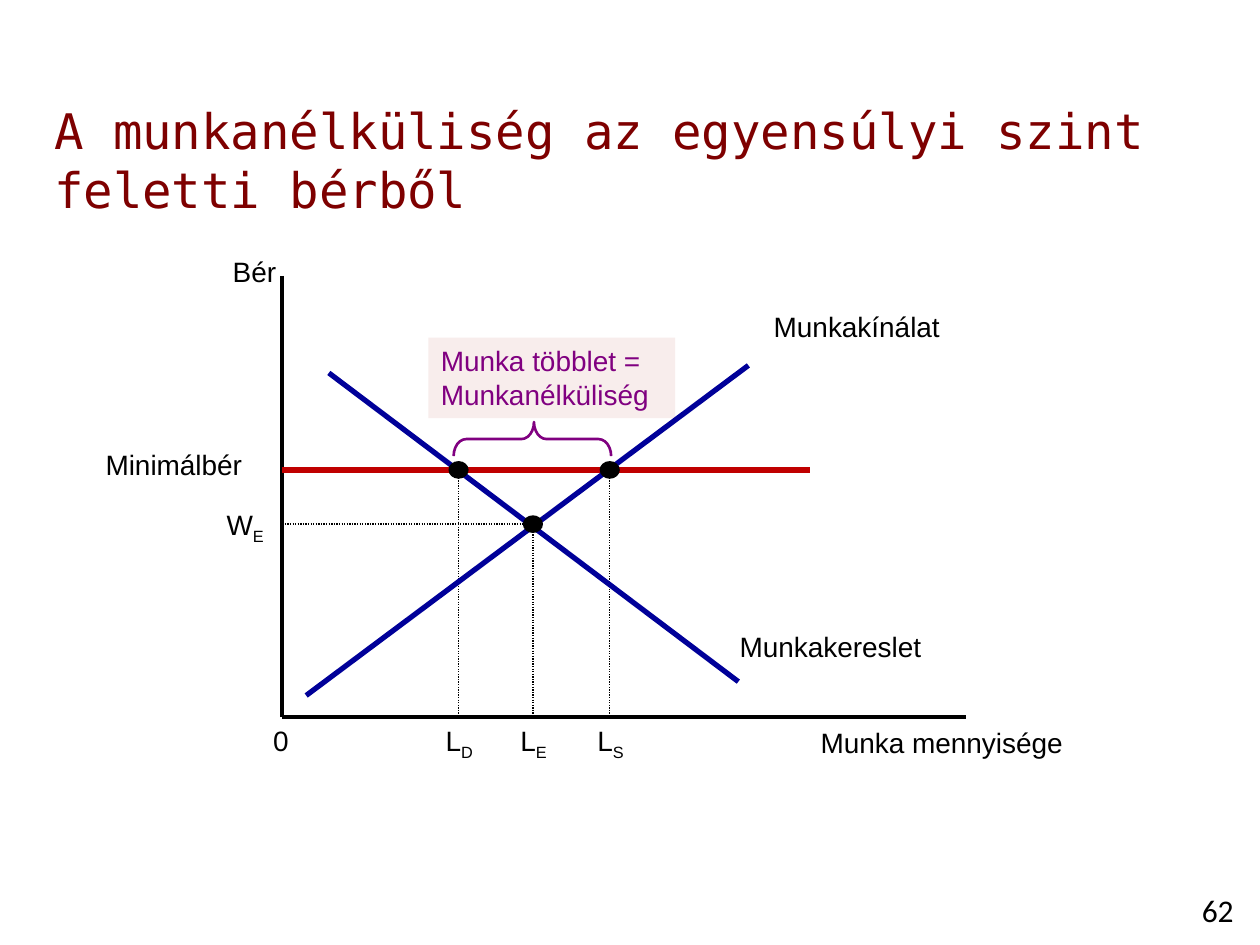
from math import cos, pi, sin

from lxml.etree import SubElement
from pptx import Presentation
from pptx.dml.color import RGBColor
from pptx.enum.dml import MSO_LINE
from pptx.enum.shapes import MSO_CONNECTOR, MSO_SHAPE
from pptx.enum.text import MSO_ANCHOR, MSO_AUTO_SIZE, PP_ALIGN
from pptx.oxml.ns import qn
from pptx.util import Inches, Pt

BLACK, WHITE, RED, BLUE = "000000", "FFFFFF", "C00000", "000099"
PURPLE, PINK, MAROON = "800080", "F8EDEC", "7E0000"
LEFT, MID, RIGHT = PP_ALIGN.LEFT, PP_ALIGN.CENTER, PP_ALIGN.RIGHT

# Key points of the diagram
AXIS_X, AXIS_Y = 2.24, 5.69
MIN_Y, EVEN_Y = 3.73, 4.16
DEMAND_X, EVEN_X, SUPPLY_X = 3.64, 4.23, 4.84


def color(code):
    return RGBColor.from_string(code)


def fill_text(frame, text, sub="", size=16, font="Arial", ink=BLACK,
              align=MID, wrap=False, grow=True):
    frame.word_wrap = wrap
    frame.vertical_anchor = MSO_ANCHOR.TOP
    frame.auto_size = (MSO_AUTO_SIZE.SHAPE_TO_FIT_TEXT if grow
                       else MSO_AUTO_SIZE.NONE)
    par = frame.paragraphs[0]
    par.alignment = align
    for part in filter(None, (text, sub)):
        run = par.add_run()
        run.text = part
        run.font.size = Pt(size)
        run.font.name = font
        run.font.color.rgb = color(ink)
    if sub:
        run.font._element.set("baseline", "-25000")


def add_text(slide, box, text, **style):
    label = slide.shapes.add_textbox(*map(Inches, box))
    fill_text(label.text_frame, text, **style)


def add_line(slide, start, end, ink=BLACK, width=2.25, dash=None):
    line = slide.shapes.add_connector(
        MSO_CONNECTOR.STRAIGHT, *map(Inches, (*start, *end)))
    line.line.color.rgb = color(ink)
    line.line.width = Pt(width)
    if dash:
        line.line.dash_style = dash
    SubElement(line._element.spPr, qn("a:effectLst"))


def add_guide(slide, start, end):
    add_line(slide, start, end, width=0.75, dash=MSO_LINE.ROUND_DOT)


def paint(shape, fill=None, ink=None, width=1):
    shape.shadow.inherit = False
    if fill:
        shape.fill.solid()
        shape.fill.fore_color.rgb = color(fill)
    else:
        shape.fill.background()
    if ink:
        shape.line.color.rgb = color(ink)
        shape.line.width = Pt(width)
    else:
        shape.line.fill.background()


def add_shape(slide, kind, box, **style):
    shape = slide.shapes.add_shape(kind, *map(Inches, box))
    paint(shape, **style)
    return shape


def add_dot(slide, x, y):
    turns = [2 * pi * i / 16 for i in range(16)]
    rim = [(Inches(x + 0.08 * sin(t)), Inches(y + 0.07 * cos(t)))
           for t in turns]
    pen = slide.shapes.build_freeform(*rim[0])
    pen.add_line_segments(rim[1:], close=True)
    paint(pen.convert_to_shape(), fill=BLACK)


def add_title(slide, text):
    title = slide.shapes.title
    title.left, title.top, title.width, title.height = map(
        Inches, (0.33, 0.75, 9.67, 0.58))
    fill_text(title.text_frame, text, size=28, font="DejaVu Sans Mono",
              ink=MAROON, align=LEFT, wrap=True, grow=False)


def add_axes(slide):
    add_shape(slide, MSO_SHAPE.RECTANGLE, (2.25, 2.27, 5.42, 3.41),
              fill=WHITE, ink=WHITE, width=2)
    add_line(slide, (AXIS_X, 2.19), (AXIS_X, AXIS_Y))
    add_text(slide, (1.74, 1.97, 0.55, 0.37), "Bér", align=RIGHT)
    add_line(slide, (AXIS_X, AXIS_Y), (7.67, AXIS_Y))
    add_text(slide, (6.4, 5.71, 2.21, 0.37), "Munka mennyisége ")
    add_text(slide, (2.07, AXIS_Y, 0.33, 0.37), "0", align=LEFT)


def add_surplus(slide):
    note = add_shape(slide, MSO_SHAPE.RECTANGLE, (3.4, 2.68, 1.96, 0.64),
                     fill=PINK)
    fill_text(note.text_frame, "Munka többlet = Munkanélküliség",
              ink=PURPLE, align=LEFT, wrap=True)
    brace = add_shape(slide, MSO_SHAPE.LEFT_BRACE, (4.09, 2.86, 0.27, 1.25),
                      ink=PURPLE, width=1.5)
    brace.rotation = 90
    brace.adjustments[0] = 0.37
    brace.adjustments[1] = 0.49


def main():
    deck = Presentation()
    deck.slide_width, deck.slide_height = Inches(10), Inches(7.5)
    slide = deck.slides.add_slide(deck.slide_layouts[5])

    add_title(slide, "A munkanélküliség az egyensúlyi szint feletti bérből")
    add_text(slide, (9.33, 7.02, 0.67, 0.4), "62", size=18, font="Calibri",
             wrap=True, grow=False)
    add_axes(slide)

    # Minimum wage
    add_line(slide, (AXIS_X, MIN_Y), (6.43, MIN_Y), ink=RED, width=3)
    add_text(slide, (0.73, 3.5, 1.3, 0.37), "Minimálbér")

    # Guides down to the labour axis and across to the wage axis
    spots = ((DEMAND_X, MIN_Y, "D"), (SUPPLY_X, MIN_Y, "S"),
             (EVEN_X, EVEN_Y, "E"))
    for x, y, sub in spots:
        add_guide(slide, (x, y), (x, AXIS_Y))
        add_text(slide, (x - 0.21, AXIS_Y, 0.43, 0.37), "L", sub=sub)
    add_guide(slide, (AXIS_X, EVEN_Y), (4.29, EVEN_Y))
    add_text(slide, (1.69, 3.98, 0.51, 0.37), "W", sub="E")

    add_surplus(slide)

    # Demand and supply curves
    curves = (
        ((2.61, 2.96), (5.86, 5.41), (5.74, 4.95, 1.7, 0.37), "Munkakereslet"),
        ((2.43, 5.52), (5.94, 2.9), (6.02, 2.41, 1.56, 0.37), "Munkakínálat"),
    )
    for start, end, box, name in curves:
        add_line(slide, start, end, ink=BLUE, width=3)
        add_text(slide, box, name, wrap=True)

    # Crossing points
    for x, y, _ in spots:
        add_dot(slide, x, y)

    deck.save("out.pptx")


if __name__ == "__main__":
    main()
